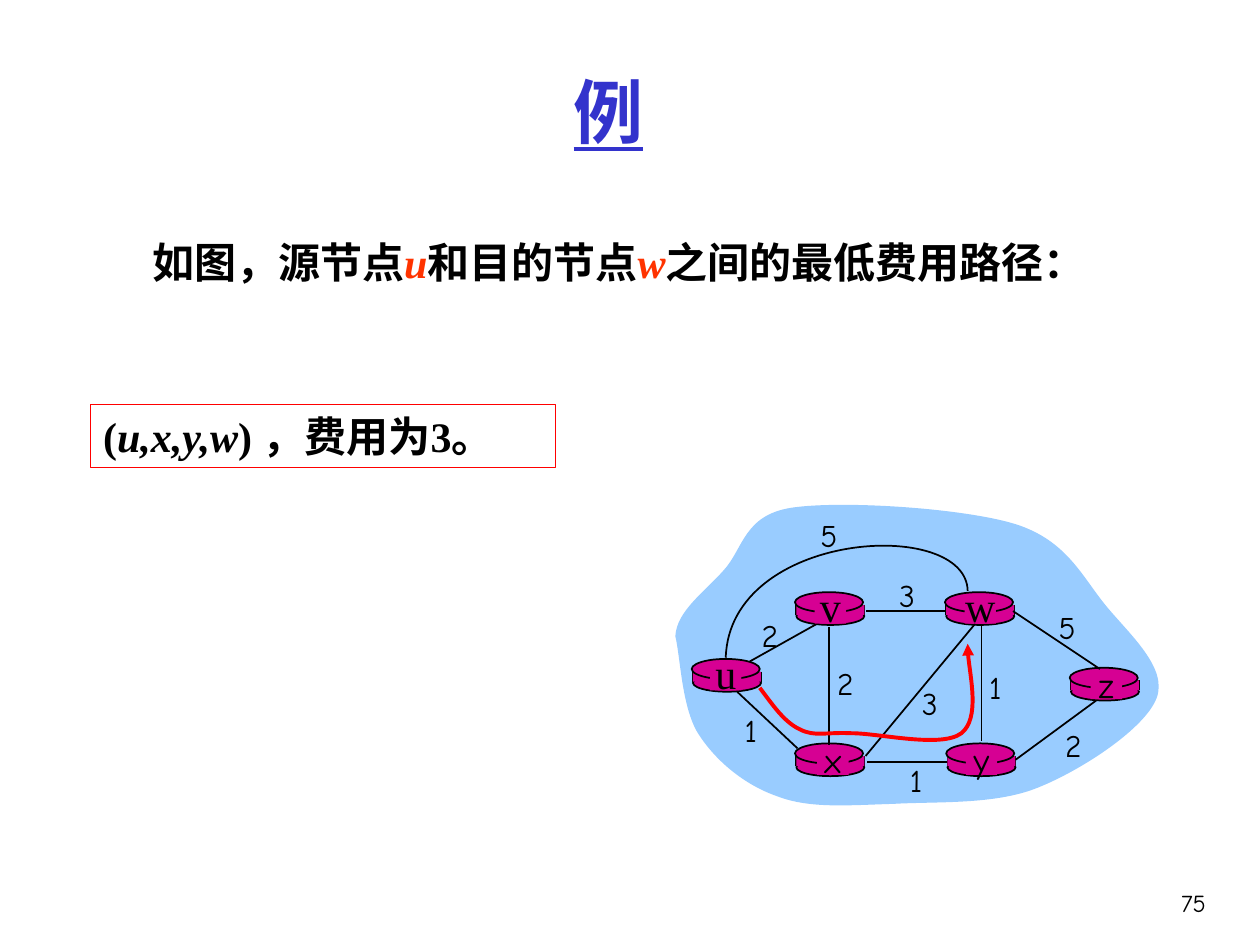
from typing import NamedTuple

from lxml.etree import SubElement
from pptx import Presentation
from pptx.dml.color import RGBColor
from pptx.enum.shapes import MSO_CONNECTOR, MSO_SHAPE
from pptx.enum.text import MSO_ANCHOR, PP_ALIGN
from pptx.oxml.ns import qn
from pptx.util import Inches, Pt

COLORS = {"black": "000000", "title": "3333CC", "accent": "FF3300", "path": "FF0000",
          "router": "D60093", "cloud": "99CCFF"}
SERIF, HAND = "Times New Roman", "Comic Neue"
BOLD = {"size": Pt(24), "name": SERIF, "bold": True}
BOLD_ITALIC = BOLD | {"italic": True}
ROUTER_WIDTH = 0.54
LABEL_WIDTH = 0.44
Point = tuple[float, float]


class Run(NamedTuple):
    text: str
    font: dict
    color: str = "black"


class Router(NamedTuple):
    name: str
    left: float
    top: float
    label_center: float
    font: str = SERIF
    size: int = 24
    label_rise: float = 0.14


class Link(NamedTuple):
    start: Point
    end: Point
    cost: str
    cost_center: float
    cost_top: float


ROUTERS = [
    Router("u", 5.49, 5.23, 5.76),
    Router("x", 6.31, 5.9, 6.61, HAND, 20, 0.09),
    Router("v", 6.31, 4.7, 6.59),
    Router("w", 7.5, 4.7, 7.78),
    Router("y", 7.51, 5.9, 7.79, HAND, 20, 0.09),
    Router("z", 8.49, 5.3, 8.78, HAND, 20, 0.08),
]
LINKS = [
    Link((5.95, 5.25), (6.54, 4.92), "2", 6.11, 4.84),
    Link((7.79, 4.97), (7.79, 5.88), "1", 7.9, 5.25),
    Link((6.58, 4.98), (6.58, 5.91), "2", 6.71, 5.22),
    Link((6.87, 6), (7.74, 4.95), "3", 7.38, 5.38),
    Link((8.06, 6.03), (8.7, 5.56), "2", 8.52, 5.71),
    Link((7.52, 6.05), (6.88, 6.05), "1", 7.27, 5.99),
    Link((6.33, 5.94), (5.85, 5.49), "1", 5.96, 5.59),
    Link((7.51, 4.85), (6.87, 4.85), "3", 7.2, 4.52),
    Link((8.73, 5.31), (8.04, 4.85), "5", 8.47, 4.78),
]
# Curves: a start point, then two control points and an end point per segment
CLOUD = [
    (5.36, 5.05), (5.37, 4.85), (5.59, 4.7), (5.74, 4.53), (5.9, 4.36), (5.9, 4.09),
    (6.28, 4.03), (6.67, 3.97), (7.64, 4.03), (8.06, 4.16), (8.47, 4.29), (8.59, 4.58),
    (8.78, 4.81), (8.97, 5.04), (9.27, 5.3), (9.18, 5.54), (9.09, 5.78), (8.59, 6.11),
    (8.24, 6.25), (7.9, 6.39), (7.43, 6.36), (7.09, 6.38), (6.74, 6.39), (6.43, 6.42),
    (6.17, 6.32), (5.91, 6.23), (5.68, 6.04), (5.54, 5.82), (5.41, 5.61), (5.4, 5.21),
    (5.36, 5.05),
]
DIRECT_LINK = [(7.68, 4.69), (7.67, 4.1), (5.79, 4.21), (5.76, 5.22)]
CHEAPEST_PATH = [
    (6.03, 5.46), (6.13, 5.59), (6.22, 5.73), (6.35, 5.79), (6.47, 5.85), (6.55, 5.81),
    (6.76, 5.82), (6.98, 5.82), (7.47, 5.94), (7.63, 5.82), (7.78, 5.7), (7.67, 5.23),
    (7.68, 5.11),
]


def rgb(color: str) -> RGBColor:
    return RGBColor.from_string(COLORS[color])


def style(shape, fill: str | None = None, line: str | None = None, width: float = 1) -> None:
    shape.shadow.inherit = False
    if fill:
        shape.fill.solid()
        shape.fill.fore_color.rgb = rgb(fill)
    else:
        shape.fill.background()
    if line:
        shape.line.color.rgb = rgb(line)
        shape.line.width = Pt(width)
    else:
        shape.line.fill.background()


def add_text(slide, box: tuple, runs: list[Run], align=PP_ALIGN.LEFT,
             anchor=MSO_ANCHOR.TOP, wrap: bool = True):
    shape = slide.shapes.add_textbox(*map(Inches, box))
    frame = shape.text_frame
    frame.word_wrap = wrap
    frame.vertical_anchor = anchor
    paragraph = frame.paragraphs[0]
    paragraph.alignment = align
    for part in runs:
        run = paragraph.add_run()
        run.text = part.text
        for attribute, value in part.font.items():
            setattr(run.font, attribute, value)
        run.font.color.rgb = rgb(part.color)
    return shape


def add_label(slide, text: str, center: float, top: float, font: str, size: int) -> None:
    box = (center - LABEL_WIDTH / 2, top, LABEL_WIDTH, 0.4)
    add_text(slide, box, [Run(text, {"size": Pt(size), "name": font})],
             PP_ALIGN.CENTER, wrap=False)


def add_line(slide, start: Point, end: Point) -> None:
    line = slide.shapes.add_connector(MSO_CONNECTOR.STRAIGHT, *map(Inches, (*start, *end)))
    line.line.color.rgb = rgb("black")
    line.line.width = Pt(1)
    SubElement(line._element.spPr, qn("a:effectLst"))


def add_part(slide, kind, box: tuple, line: str | None = None) -> None:
    style(slide.shapes.add_shape(kind, *map(Inches, box)), "router", line)


def add_curve(slide, points: list[Point], closed: bool = False):
    """Draw the points as a freeform, then merge each three segments into one Bézier."""
    start, *rest = [(Inches(x), Inches(y)) for x, y in points]
    builder = slide.shapes.build_freeform(*start)
    builder.add_line_segments(rest, close=closed)
    shape = builder.convert_to_shape()
    segments = list(shape._element.iter(qn("a:lnTo")))
    for first in range(0, len(segments), 3):
        curve, *others = segments[first:first + 3]
        bezier = curve.makeelement(qn("a:cubicBezTo"))
        curve.addprevious(bezier)
        for segment in (curve, *others):
            bezier.append(segment[0])
            segment.getparent().remove(segment)
    return shape


def add_router(slide, router: Router) -> None:
    left, top = router.left + 0.01, router.top + 0.1
    add_part(slide, MSO_SHAPE.OVAL, (left, top + 0.02, ROUTER_WIDTH, 0.14), "black")
    for x in (left, left + ROUTER_WIDTH):
        add_line(slide, (x, top), (x, top + 0.08))
    add_part(slide, MSO_SHAPE.RECTANGLE, (left, top, ROUTER_WIDTH, 0.08))
    add_part(slide, MSO_SHAPE.OVAL, (router.left, router.top, ROUTER_WIDTH, 0.16), "black")


def add_router_name(slide, router: Router) -> None:
    patch = (router.label_center - 0.125, router.top + 0.02, 0.25, 0.23)
    add_part(slide, MSO_SHAPE.RECTANGLE, patch)
    add_label(slide, router.name, router.label_center, router.top - router.label_rise,
              router.font, router.size)


def main() -> None:
    presentation = Presentation()
    presentation.slide_width, presentation.slide_height = Inches(10), Inches(7.5)
    slide = presentation.slides.add_slide(presentation.slide_layouts[6])

    # Page number, title and question
    add_text(slide, (8.93, 7, 0.74, 0.5), [Run("75", {"size": Pt(14), "name": HAND})],
             PP_ALIGN.RIGHT)
    title_font = BOLD | {"size": Pt(40), "underline": True}
    add_text(slide, (0.58, 0.25, 8.5, 1.25), [Run("例", title_font, "title")],
             PP_ALIGN.CENTER, MSO_ANCHOR.MIDDLE)
    question = add_text(slide, (0.58, 1.75, 8.5, 1.25), [
        Run("如图，源节点", BOLD), Run("u", BOLD_ITALIC, "accent"),
        Run("和目的节点", BOLD), Run("w", BOLD_ITALIC, "accent"),
        Run("之间的最低费用路径：", BOLD)])
    paragraph = question.text_frame.paragraphs[0]
    paragraph.line_spacing = 1.2
    paragraph._p.get_or_add_pPr().set("indent", str(Inches(0.53)))

    # Network: cloud, routers, links, then names and costs
    style(add_curve(slide, CLOUD, closed=True), "cloud")
    for router in ROUTERS:
        add_router(slide, router)
    for link in LINKS:
        add_line(slide, link.start, link.end)
    style(add_curve(slide, DIRECT_LINK), line="black")
    for router in ROUTERS:
        add_router_name(slide, router)
    for link in LINKS:
        add_label(slide, link.cost, link.cost_center, link.cost_top, HAND, 18)
    add_label(slide, "5", 6.58, 4.05, HAND, 18)

    # Answer and the cheapest path
    answer = add_text(slide, (0.72, 3.21, 3.69, 0.5), [
        Run("(", BOLD), Run("u,x,y,w", BOLD_ITALIC), Run(") ，费用为3。", BOLD)])
    style(answer, line="path", width=0.75)
    route = add_curve(slide, CHEAPEST_PATH)
    style(route, line="path", width=2.25)
    SubElement(route.line._get_or_add_ln(), qn("a:tailEnd"), type="triangle")

    presentation.save("out.pptx")


if __name__ == "__main__":
    main()
